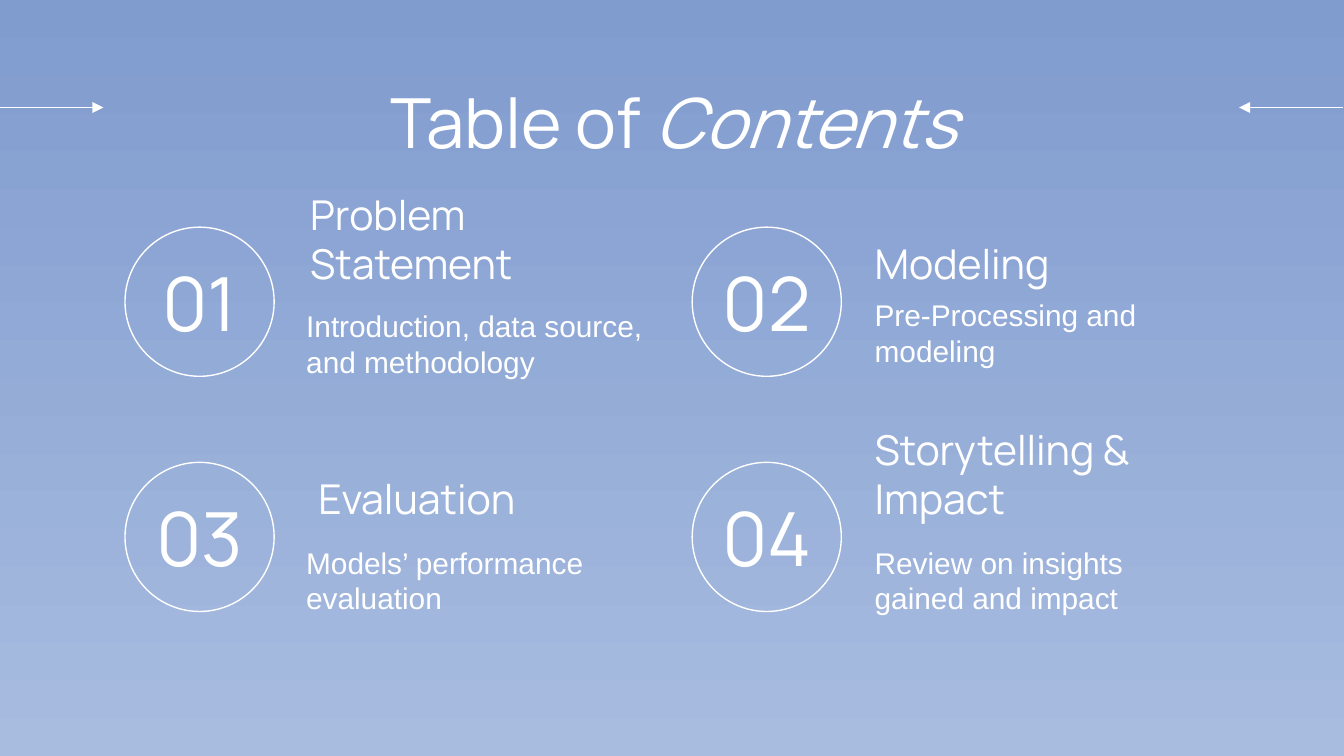
from pptx import Presentation
from pptx.dml.color import RGBColor
from pptx.enum.shapes import MSO_CONNECTOR, MSO_SHAPE
from pptx.enum.text import MSO_ANCHOR, MSO_AUTO_SIZE, PP_ALIGN
from pptx.oxml.ns import qn
from pptx.util import Inches, Pt
from lxml.etree import SubElement

WHITE = RGBColor(0xFF, 0xFF, 0xFF)
SKY_TOP = RGBColor(0x80, 0x9B, 0xCE)
SKY_BOTTOM = RGBColor(0xA8, 0xBC, 0xE0)

WIDTH = 10
HEIGHT = WIDTH * 9 / 16
LEFT, TOP = 0.93, 1.69
COLUMN, ROW = 4.22, 1.75
CIRCLE = 1.11

SECTIONS = [
    ("01", "Problem Statement", "Introduction, data source, and methodology", 2.21, 2.77, 2.18, 2.19, 2.82),
    ("02", "Modeling", "Pre-Processing and modeling", 6.41, 2.66, 6.41, 2.11, 3.06),
    ("03", "Evaluation", "Models’ performance evaluation", 2.27, 2.66, 2.18, 3.95, 2.66),
    ("04", "Storytelling & Impact", "Review on insights gained and impact", 6.41, 2.66, 6.41, 3.95, 2.66),
]


def format_text(box, font, size, anchor, align):
    frame = box.text_frame
    frame.word_wrap = True
    frame.auto_size = MSO_AUTO_SIZE.NONE
    frame.vertical_anchor = anchor
    frame.margin_left = frame.margin_right = Inches(0.1)
    frame.margin_top = frame.margin_bottom = Inches(0.1)
    for para in frame.paragraphs:
        para.alignment = align
        for span in para.runs:
            span.font.name = font
            span.font.size = Pt(size)
            span.font.color.rgb = WHITE


def add_text(page, text, left, top, width, height, font, size, anchor, align=PP_ALIGN.LEFT):
    box = page.shapes.add_textbox(Inches(left), Inches(top), Inches(width), Inches(height))
    box.text_frame.text = text
    format_text(box, font, size, anchor, align)


deck = Presentation()
deck.slide_width, deck.slide_height = Inches(WIDTH), Inches(HEIGHT)
page = deck.slides.add_slide(deck.slide_layouts[5])

background = page.background.fill
background.gradient()
background.gradient_angle = 270
for stop, color in zip(background.gradient_stops, (SKY_TOP, SKY_BOTTOM)):
    stop.color.rgb = color

title = page.shapes.title
title.left, title.top = Inches(0.79), Inches(0.49)
title.width, title.height = Inches(8.44), Inches(0.63)
title.text_frame.text = "Table of"
emphasis = title.text_frame.paragraphs[0].add_run()
emphasis.text = " Contents"
emphasis.font.italic = True
format_text(title, "Manrope", 37, MSO_ANCHOR.TOP, PP_ALIGN.CENTER)

for start, end in ((0, 0.77), (9.99, 9.22)):
    arrow = page.shapes.add_connector(
        MSO_CONNECTOR.STRAIGHT, Inches(start), Inches(0.8), Inches(end), Inches(0.8))
    arrow.line.color.rgb = WHITE
    arrow.line.width = Pt(0.75)
    line = arrow._element.spPr.find(qn("a:ln"))
    SubElement(line, qn("a:tailEnd"), type="triangle")
    SubElement(arrow._element.spPr, qn("a:effectLst"))

for index, section in enumerate(SECTIONS):
    number, heading, summary, heading_left, heading_width, summary_left, summary_top, summary_width = section
    row, column = divmod(index, 2)
    left, top = LEFT + column * COLUMN, TOP + row * ROW

    circle = page.shapes.add_shape(
        MSO_SHAPE.OVAL, Inches(left), Inches(top), Inches(CIRCLE), Inches(CIRCLE))
    circle.shadow.inherit = False
    circle.fill.background()
    circle.line.color.rgb = WHITE
    circle.line.width = Pt(0.75)

    add_text(page, number, left + 0.08, top, 0.95, CIRCLE,
             "Manrope", 40, MSO_ANCHOR.MIDDLE, PP_ALIGN.CENTER)
    add_text(page, heading, heading_left, top, heading_width, 0.55,
             "Manrope", 22, MSO_ANCHOR.BOTTOM)
    add_text(page, summary, summary_left, summary_top, summary_width, 0.68,
             "Arial", 16, MSO_ANCHOR.TOP)

deck.save("out.pptx")
